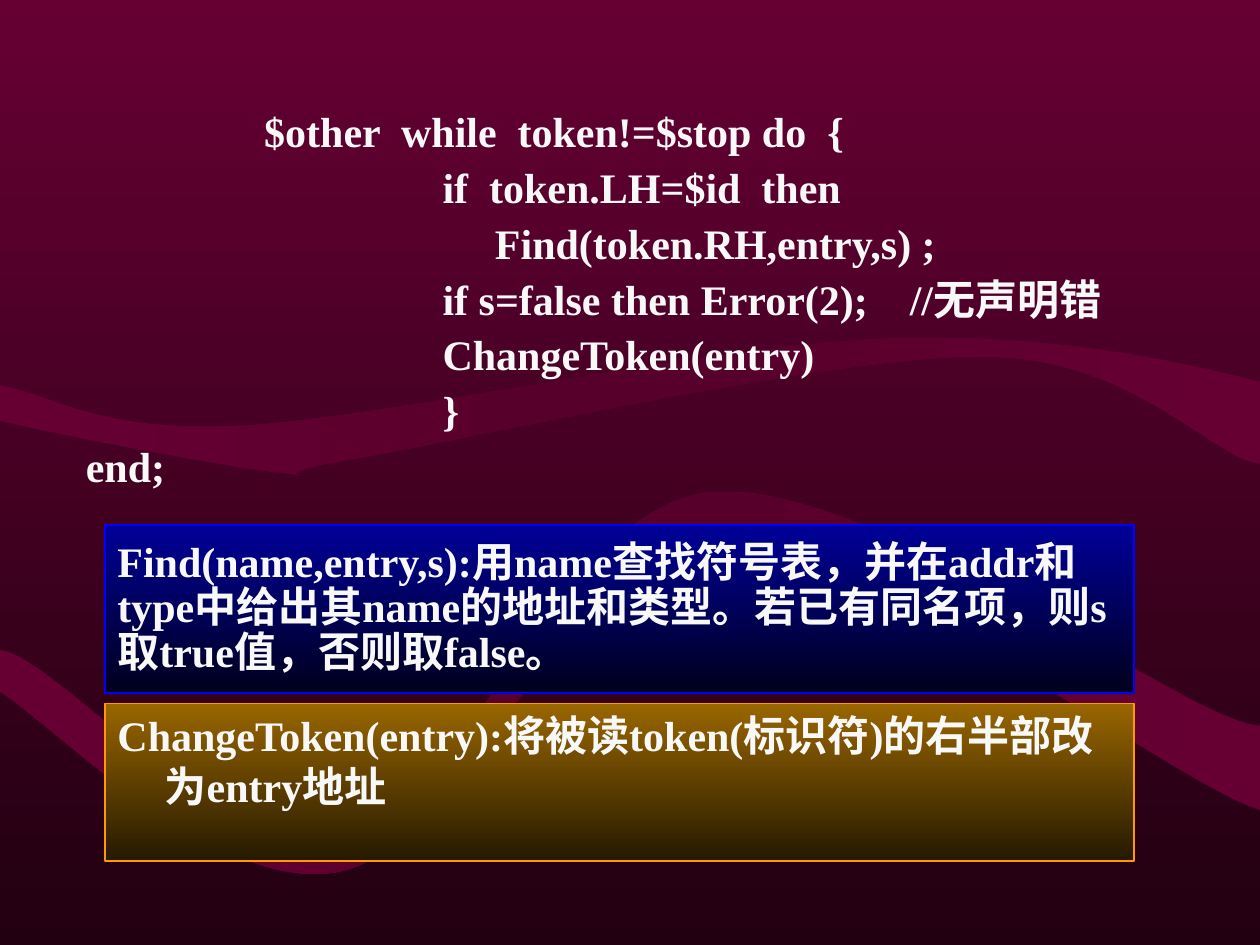
from copy import deepcopy

from lxml import etree
from pptx import Presentation
from pptx import util as u
from pptx.dml.color import RGBColor
from pptx.enum import shapes, text
from pptx.oxml.ns import qn

Pt = u.Pt
WINE = RGBColor(0x66, 0x00, 0x33)
DARK_WINE = RGBColor(0x22, 0x00, 0x11)
MID_WINE = RGBColor(0x56, 0x00, 0x2B)
NAVY = RGBColor(0x00, 0x00, 0x99)
DARK_NAVY = RGBColor(0x00, 0x00, 0x1C)
BLUE = RGBColor(0x00, 0x00, 0xFF)
BROWN = RGBColor(0x99, 0x66, 0x00)
DARK_BROWN = RGBColor(0x25, 0x19, 0x00)
ORANGE = RGBColor(0xFF, 0x99, 0x00)
OFF_WHITE = RGBColor(0xF8, 0xF8, 0xF8)
DOWN, RIGHT = 270, 0


def set_gradient(fill, element, colors, angle):
    fill.gradient()
    fill.gradient_angle = angle
    stop_list = element.find(".//" + qn("a:gsLst"))
    while len(stop_list) < len(colors):
        stop_list.append(deepcopy(stop_list[-1]))
    for index, (stop, color) in enumerate(zip(fill.gradient_stops, colors)):
        stop.position = index / (len(colors) - 1)
        stop.color.rgb = color


def add_text(paragraph, words, line_spacing, indent):
    paragraph.alignment = text.PP_ALIGN.LEFT
    paragraph.line_spacing = line_spacing
    properties = paragraph._p.get_or_add_pPr()
    properties.set("marL", str(Pt(indent)))
    properties.set("indent", str(-Pt(indent)))
    properties.set("hangingPunct", "0")
    run = paragraph.add_run()
    run.text = words
    run.font.name = "Times New Roman"
    run.font.size = Pt(24)
    run.font.bold = True
    run.font.color.rgb = OFF_WHITE


presentation = Presentation()
presentation.slide_width = Pt(720)
presentation.slide_height = Pt(540)
slide = presentation.slides.add_slide(presentation.slide_layouts[6])
set_gradient(slide.background.fill, slide.element, [WINE, DARK_WINE], DOWN)

waves = [
    [[(0, 220.3)], [(0, 240.5)],
     [(26.6, 247), (126, 266.4), (159.8, 270)],
     [(193.7, 273.6), (136.8, 272.9), (203, 262.1)],
     [(270, 250.6), (475.2, 203), (561.6, 203.8)],
     [(648, 203.8), (693.4, 262.8), (720, 265)],
     [(720, 218.2)],
     [(684, 208.8), (601.9, 189.4), (504.7, 193.7)],
     [(407.5, 197.3), (221, 239), (136.8, 243.4)],
     [(52.6, 247), (31.7, 225.4), (0, 220.3)]],
    [[(0, 371.5)], [(0, 395.3)],
     [(32.4, 416.2), (125.3, 511.9), (193.7, 498.2)],
     [(261.4, 485.3), (319, 321.1), (406.8, 315.4)],
     [(494.6, 308.9), (667.4, 446.4), (720, 463)],
     [(720, 414.7)],
     [(675.4, 411.8), (497.5, 271.4), (404.6, 281.5)],
     [(317.5, 292.3), (264.2, 465.1), (196.6, 480.2)],
     [(128.9, 494.6), (32.4, 374.4), (0, 371.5)]],
]
for segments in waves:
    points = [(Pt(x), Pt(y)) for segment in segments for x, y in segment]
    builder = slide.shapes.build_freeform(*points[0])
    builder.add_line_segments(points[1:], close=True)
    wave = builder.convert_to_shape()
    lines = iter(wave.element.findall(".//" + qn("a:lnTo")))
    for segment in segments[1:]:
        line = next(lines)
        if len(segment) == 3:
            curve = etree.Element(qn("a:cubicBezTo"))
            line.addprevious(curve)
            for part in (line, next(lines), next(lines)):
                curve.append(part[0])
                part.getparent().remove(part)
    wave.shadow.inherit = False
    set_gradient(wave.fill, wave.element, [WINE, MID_WINE, WINE], RIGHT)
    wave.line.fill.background()

code_lines = [
    "                  $other  while  token!=$stop do  {",
    "                                   if  token.LH=$id  then",
    "                                        Find(token.RH,entry,s) ;",
    "                                   if s=false then Error(2);    //无声明错",
    "                                   ChangeToken(entry)",
    "                                   }",
    " end;",
]
code_box = slide.shapes.add_textbox(Pt(36), Pt(60), Pt(636), Pt(228))
frame = code_box.text_frame
frame.word_wrap = True
for index, line in enumerate(code_lines):
    paragraph = frame.add_paragraph() if index else frame.paragraphs[0]
    paragraph.space_before = Pt(6 if index else 0)
    add_text(paragraph, line, 0.9, 27)

notes = [
    (300, 96, [NAVY, DARK_NAVY], BLUE, text.MSO_ANCHOR.MIDDLE, 0.9, 0,
     "Find(name,entry,s):用name查找符号表，并在addr和type中给出其name的地址和类型。"
     "若已有同名项，则s取true值，否则取false。"),
    (402, 90, [BROWN, DARK_BROWN], ORANGE, text.MSO_ANCHOR.TOP, 1.0, 27,
     "ChangeToken(entry):将被读token(标识符)的右半部改为entry地址"),
]
for top, height, colors, border, anchor, spacing, indent, words in notes:
    shape = slide.shapes.add_shape(shapes.MSO_SHAPE.RECTANGLE, Pt(60), Pt(top), Pt(588), Pt(height))
    shape.shadow.inherit = False
    set_gradient(shape.fill, shape.element, colors, DOWN)
    shape.line.color.rgb = border
    shape.line.width = Pt(0.75)
    shape.text_frame.word_wrap = True
    shape.text_frame.vertical_anchor = anchor
    add_text(shape.text_frame.paragraphs[0], words, spacing, indent)

presentation.save("out.pptx")
